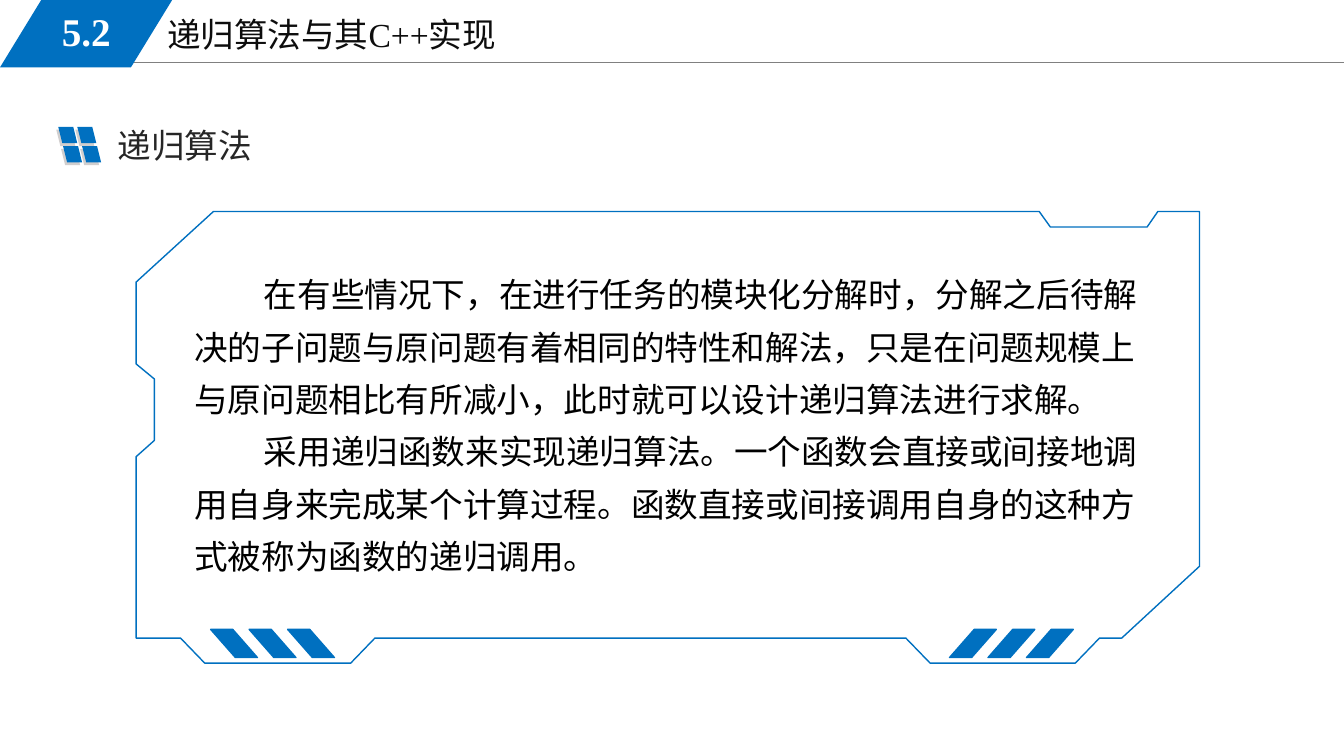
from lxml import etree
from pptx import Presentation
from pptx.dml.color import RGBColor
from pptx.enum.shapes import MSO_CONNECTOR, MSO_SHAPE
from pptx.enum.text import MSO_ANCHOR, MSO_AUTO_SIZE, PP_ALIGN
from pptx.oxml.ns import qn
from pptx.util import Cm, Pt

PARALLELOGRAM = MSO_SHAPE.PARALLELOGRAM
STRAIGHT = MSO_CONNECTOR.STRAIGHT
LEFT, CENTER = PP_ALIGN.LEFT, PP_ALIGN.CENTER
TOP, MIDDLE = MSO_ANCHOR.TOP, MSO_ANCHOR.MIDDLE

FONT = "Times New Roman"
BLUE, GREY, SHADE = "0070C0", "808080", "D0CECE"

SECTION = "5.2"
TITLE = "递归算法与其C++实现"
SUBTITLE = "递归算法"
BODY = [
    "在有些情况下，在进行任务的模块化分解时，分解之后待解决的子问题与原问题有着相同的特性和解法，"
    "只是在问题规模上与原问题相比有所减小，此时就可以设计递归算法进行求解。",
    "采用递归函数来实现递归算法。一个函数会直接或间接地调用自身来完成某个计算过程。"
    "函数直接或间接调用自身的这种方式被称为函数的递归调用。",
]

# Lengths in centimetres
FRAME = [
    (23.44, 16.71), (27.1, 16.71), (27.71, 16.08), (28.27, 16.08),
    (30.23, 14.27), (30.23, 5.33), (29.18, 5.33), (28.91, 5.72),
    (26.47, 5.72), (26.19, 5.33), (5.38, 5.33), (3.43, 7.11),
    (3.43, 9.17), (3.89, 9.55), (3.89, 11.1), (3.43, 11.51),
    (3.43, 16.08), (4.55, 16.08), (5.16, 16.71), (8.84, 16.71),
    (9.45, 16.08), (22.83, 16.08),
]
TILE_LAYERS = [(1.42, 3.27, SHADE), (1.47, 3.2, BLUE)]
TILE_STEP, TILE_SHIFT = 0.48, 0.12
STRIPE_SETS = [(23.93, False), (5.31, True)]
STRIPE_STEP = 0.97


def rgb(value):
    return RGBColor.from_string(value)


def add_slant(shapes, x, y, w, h, color, adj=0.25, flip=False, outline=False):
    sp = shapes.add_shape(PARALLELOGRAM, Cm(x), Cm(y), Cm(w), Cm(h))
    sp.shadow.inherit = False
    sp.adjustments[0] = adj
    sp.fill.solid()
    sp.fill.fore_color.rgb = rgb(color)
    if outline:
        sp.line.color.rgb = rgb(color)
        sp.line.width = Pt(1)
    else:
        sp.line.fill.background()
    if flip:
        sp._element.spPr.find(qn("a:xfrm")).set("flipH", "1")


def add_text(shapes, x, y, w, h, lines, color, size=24, bold=False,
             align=LEFT, anchor=TOP, spacing=None, indent=0):
    tf = shapes.add_textbox(Cm(x), Cm(y), Cm(w), Cm(h)).text_frame
    tf.word_wrap = True
    tf.auto_size = MSO_AUTO_SIZE.SHAPE_TO_FIT_TEXT
    tf.vertical_anchor = anchor
    for i, line in enumerate(lines):
        p = tf.add_paragraph() if i else tf.paragraphs[0]
        p.text = line
        p.alignment = align
        if spacing:
            p.line_spacing = spacing
        if indent:
            p._p.get_or_add_pPr().set("indent", str(Cm(indent)))
        p.font.name = FONT
        p.font.size = Pt(size)
        p.font.bold = bold
        p.font.color.rgb = rgb(color)


def add_header(shapes):
    rule = shapes.add_connector(STRAIGHT, Cm(2.87), Cm(1.57), Cm(33.87), Cm(1.57))
    rule.line.color.rgb = rgb(GREY)
    rule.line.width = Pt(0.75)
    etree.SubElement(rule._element.spPr, qn("a:effectLst"))
    add_text(shapes, 3.96, 0.23, 14.4, 1.3, [TITLE], "0D0D0D")
    add_slant(shapes, 0, 0, 4.34, 1.7, BLUE, adj=0.612)
    add_text(shapes, 0.64, 0.05, 3.07, 1.47, [SECTION], "FFFFFF", size=28,
             bold=True, align=CENTER, anchor=MIDDLE)


def add_subtitle(shapes):
    for left, top, color in TILE_LAYERS:
        for col in range(2):
            for row in range(2):
                x = left + col * TILE_STEP + row * TILE_SHIFT
                add_slant(shapes, x, top + row * TILE_STEP, 0.48, 0.41, color, flip=True)
    add_text(shapes, 2.72, 3.02, 4.19, 1.27, [SUBTITLE], "262626")


def add_frame(shapes):
    points = [(Cm(x), Cm(y)) for x, y in FRAME]
    builder = shapes.build_freeform(*points[0])
    builder.add_line_segments(points[1:], close=True)
    sp = builder.convert_to_shape()
    sp.shadow.inherit = False
    sp.fill.background()
    sp.line.color.rgb = rgb(BLUE)
    sp.line.width = Pt(1)
    for left, flip in STRIPE_SETS:
        for i in range(3):
            add_slant(shapes, left + i * STRIPE_STEP, 15.86, 1.18, 0.71, BLUE,
                      adj=0.878, flip=flip, outline=True)


def main():
    prs = Presentation()
    prs.slide_width, prs.slide_height = Cm(33.87), Cm(19.05)
    shapes = prs.slides.add_slide(prs.slide_layouts[6]).shapes
    add_header(shapes)
    add_text(shapes, 4.65, 6.48, 24.56, 8.26, BODY, "000000", spacing=1.3, indent=1.75)
    add_subtitle(shapes.add_group_shape().shapes)
    add_frame(shapes.add_group_shape().shapes)
    prs.save("out.pptx")


if __name__ == "__main__":
    main()
